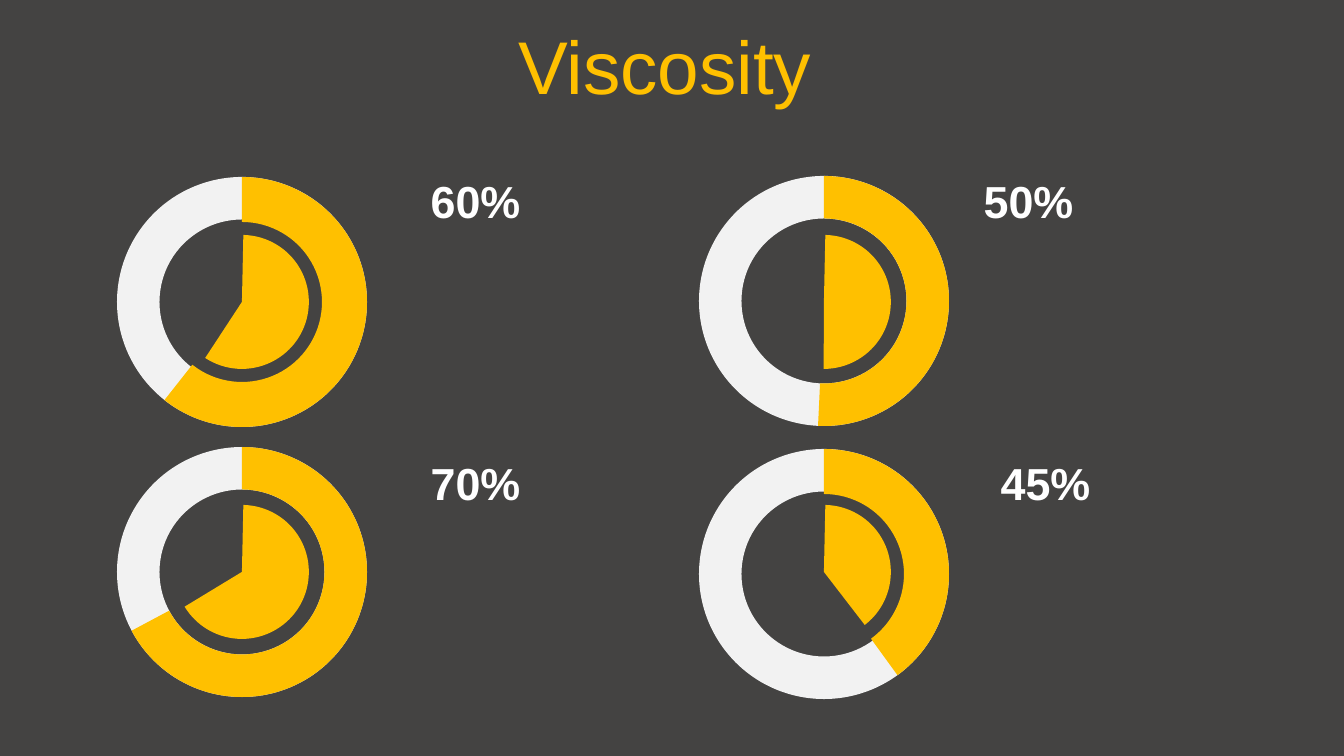
from dataclasses import dataclass

from pptx import Presentation
from pptx.dml.color import RGBColor
from pptx.enum.shapes import MSO_SHAPE
from pptx.enum.text import MSO_ANCHOR, MSO_AUTO_SIZE, PP_ALIGN
from pptx.util import Emu, Pt

SCALE = 914400 / 134.4
TURN = 0.6
RING, PIE, THICK = 250, 134, 0.17


@dataclass(frozen=True)
class Theme:
    """Hold the colours, font and type sizes of the slide."""
    back: str = "444342"
    gold: str = "FFC000"
    pale: str = "F2F2F2"
    white: str = "FFFFFF"
    face: str = "Arial"
    head: int = 40
    label: int = 24


@dataclass(frozen=True)
class Dial:
    """Describe one dial: label, places in px, end angles in degrees."""
    text: str
    left: int
    top: int
    core: int
    tag: tuple[int, int]
    slice: float
    arc: float
    width: float


THEME = Theme()
DIALS = (
    Dial("60%", 117, 177, 235, (407, 167), 123.22, 128.34, 0.18),
    Dial("50%", 699, 176, 235, (960, 167), 90.22, 92.73, 0.17),
    Dial("70%", 117, 447, 505, (407, 449), 148.74, 151.99, 0.17),
    Dial("45%", 699, 449, 505, (977, 449), 52.38, 53.99, 0.18),
)


def px(size: int) -> Emu:
    """Turn pixels into EMU."""
    return Emu(round(size * SCALE))


def tint(text: str) -> RGBColor:
    """Turn a hex string into a colour."""
    return RGBColor.from_string(text)


def apply(item: object, form: dict) -> None:
    """Set each value of a format dict on an item."""
    for key, value in form.items():
        setattr(item, key, value)


def write(shape, text: str, size: int, hue: str, bold: bool, pad: int) -> None:
    """Put one centred line of text into a shape."""
    frame = shape.text_frame
    apply(frame, {
        "word_wrap": True, "auto_size": MSO_AUTO_SIZE.NONE,
        "vertical_anchor": MSO_ANCHOR.MIDDLE,
        "margin_left": px(13), "margin_right": px(13),
        "margin_top": px(pad), "margin_bottom": px(pad),
    })
    line = frame.paragraphs[0]
    line.alignment = PP_ALIGN.CENTER
    run = line.add_run()
    run.text = text
    apply(run.font, {"name": THEME.face, "size": Pt(size), "bold": bold})
    run.font.color.rgb = tint(hue)


def draw(shapes, kind: MSO_SHAPE, left: int, top: int, size: int,
         hue: str, *values: float) -> None:
    """Add a round shape with a plain fill and its adjustments."""
    shape = shapes.add_shape(kind, px(left), px(top), px(size), px(size))
    shape.shadow.inherit = False
    shape.fill.solid()
    shape.fill.fore_color.rgb = tint(hue)
    shape.line.fill.background()
    for spot, value in enumerate(values):
        shape.adjustments[spot] = value


def place(shapes, dial: Dial) -> None:
    """Draw one dial with its pie, ring and label."""
    box = shapes.add_textbox(*map(px, (*dial.tag, 137, 67)))
    write(box, dial.text, THEME.label, THEME.white, True, 7)
    draw(shapes, MSO_SHAPE.PIE, dial.left + (RING - PIE) // 2, dial.core,
         PIE, THEME.gold, 271.25 * TURN, dial.slice * TURN)
    ring = shapes.add_group_shape().shapes
    spot = dial.left, dial.top, RING
    draw(ring, MSO_SHAPE.DONUT, *spot, THEME.pale, THICK)
    draw(ring, MSO_SHAPE.BLOCK_ARC, *spot, THEME.gold,
         269.95 * TURN, dial.arc * TURN, dial.width)


def main() -> None:
    """Build the slide and save it."""
    deck = Presentation()
    apply(deck, {"slide_width": px(1344), "slide_height": px(756)})
    slide = deck.slides.add_slide(deck.slide_layouts[5])
    fill = slide.background.fill
    fill.solid()
    fill.fore_color.rgb = tint(THEME.back)
    for dial in DIALS:
        place(slide.shapes, dial)
    title = slide.shapes.title
    apply(title, {"left": px(24), "top": px(23),
                  "width": px(1302), "height": px(83)})
    write(title, "Viscosity ", THEME.head, THEME.gold, False, 13)
    deck.save("out.pptx")


if __name__ == "__main__":
    main()
